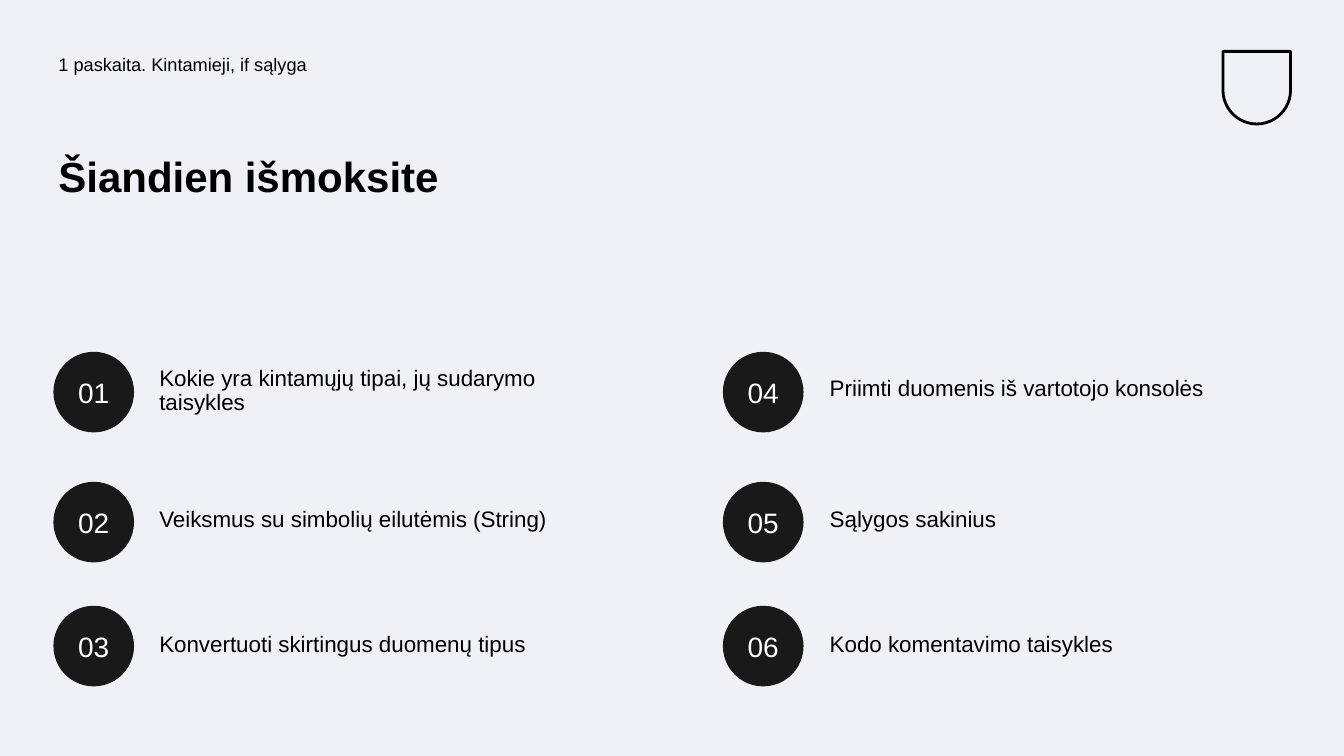
from pptx import Presentation
from pptx.dml.color import RGBColor
from pptx.enum import shapes, text
from pptx.util import Inches, Pt

BLACK = "000000"
LEFT = 0.53


def color(value):
    return RGBColor.from_string(value)


def write(shape, words, size, ink=BLACK, **paragraph_format):
    """Fill a shape with one paragraph of Arial text."""
    frame = shape.text_frame
    frame.word_wrap = True
    for side in ("left", "right", "top", "bottom"):
        setattr(frame, f"margin_{side}", Inches(0.05))
    paragraph = frame.paragraphs[0]
    for name, value in paragraph_format.items():
        setattr(paragraph, name, value)
    run = paragraph.add_run()
    run.text = words
    run.font.name = "Arial"
    run.font.size = Pt(size)
    run.font.color.rgb = color(ink)
    return run


deck = Presentation()
deck.slide_width = Inches(13.33)
deck.slide_height = Inches(7.5)
slide = deck.slides.add_slide(deck.slide_layouts[6])
slide.background.fill.solid()
slide.background.fill.fore_color.rgb = color("F0F1F6")

# Plain shield in the top right corner
shield = slide.shapes.add_shape(
    shapes.MSO_SHAPE.ROUND_2_SAME_RECTANGLE,
    Inches(12.13), Inches(0.51), Inches(0.67), Inches(0.72))
shield.adjustments[0] = 0
shield.adjustments[1] = 0.5
shield.shadow.inherit = False
shield.fill.background()
shield.line.color.rgb = color(BLACK)
shield.line.width = Pt(2)

# Lecture name and heading
lecture = slide.shapes.add_textbox(Inches(LEFT), Inches(0.5), Inches(6.14), Inches(0.5))
write(lecture, "1 paskaita. Kintamieji, if sąlyga", 13, line_spacing=0.9)
heading = slide.shapes.add_textbox(Inches(LEFT), Inches(1.5), Inches(5.64), Inches(1.49))
write(heading, "Šiandien išmoksite", 30, line_spacing=0.9).font.bold = True

# Numbered topics, two columns of three
topics = [
    ("Kokie yra kintamųjų tipai, jų sudarymo taisykles", 3.59, 0.6),
    ("Veiksmus su simbolių eilutėmis (String)", 4.99, 0.38),
    ("Konvertuoti skirtingus duomenų tipus", 6.23, 0.36),
    ("Priimti duomenis iš vartotojo konsolės", 3.69, 0.4),
    ("Sąlygos sakinius", 4.99, 0.38),
    ("Kodo komentavimo taisykles", 6.23, 0.36),
]
column_lefts = (LEFT, 7.17)
topic_lefts = (1.53, 8.18)
circle_tops = (3.49, 4.78, 6.01)

for index, (topic, top, height) in enumerate(topics):
    column, row = divmod(index, len(circle_tops))
    circle = slide.shapes.add_shape(
        shapes.MSO_SHAPE.OVAL, Inches(column_lefts[column]),
        Inches(circle_tops[row]), Inches(0.8), Inches(0.8))
    circle.shadow.inherit = False
    circle.fill.solid()
    circle.fill.fore_color.rgb = color("191919")
    circle.line.fill.background()
    circle.text_frame.vertical_anchor = text.MSO_ANCHOR.MIDDLE
    write(circle, f"{index + 1:02}", 20, "FEFFFF", alignment=text.PP_ALIGN.CENTER)

    label = slide.shapes.add_textbox(
        Inches(topic_lefts[column]), Inches(top), Inches(4.63), Inches(height))
    write(label, topic, 16, line_spacing=0.9)

deck.save("out.pptx")
